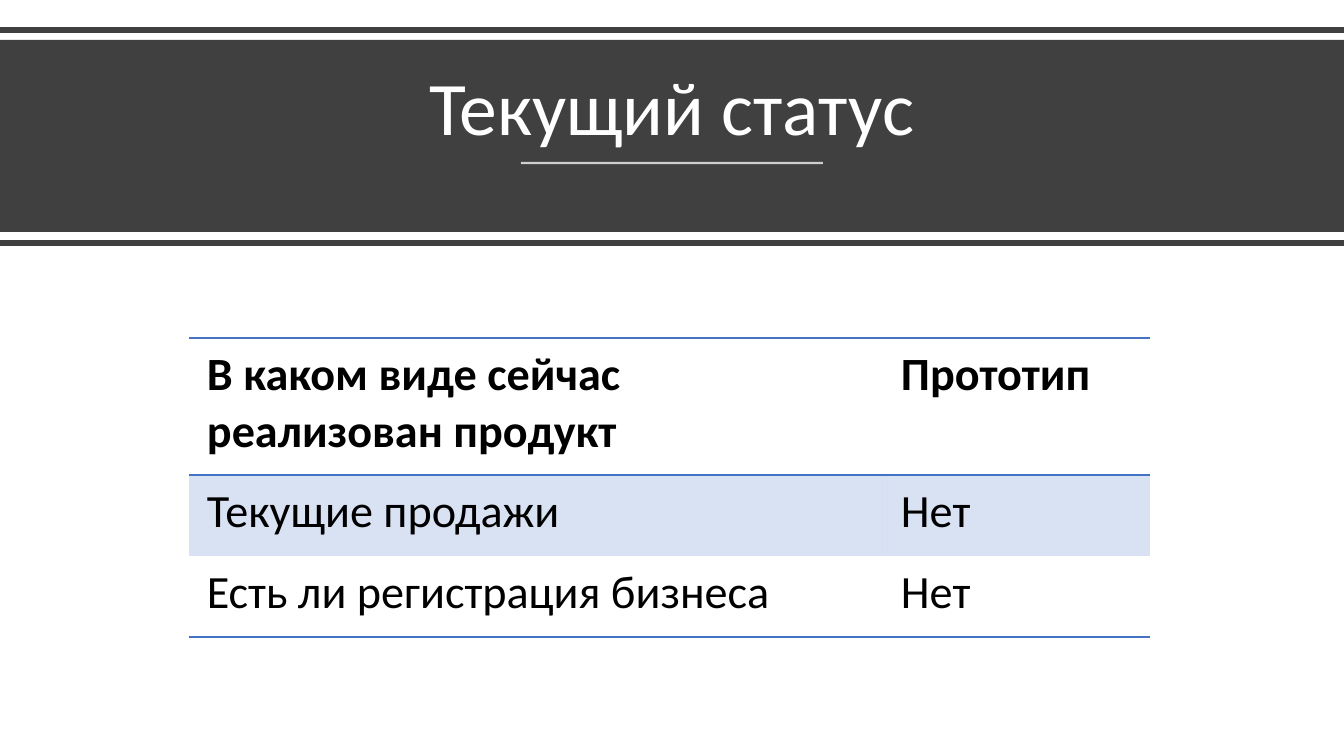
from lxml import etree
from pptx import Presentation
from pptx.dml.color import RGBColor
from pptx.enum.shapes import MSO_CONNECTOR, MSO_SHAPE
from pptx.enum.text import MSO_ANCHOR, PP_ALIGN
from pptx.oxml.ns import qn
from pptx.util import Pt

LINE = MSO_CONNECTOR.STRAIGHT
RECT = MSO_SHAPE.RECTANGLE
BOTTOM = MSO_ANCHOR.BOTTOM
CENTER = PP_ALIGN.CENTER
DARK, WHITE, BLUE, BLACK = "404040", "FFFFFF", "4472C4", "000000"


def px(n):
    return round(n * 914400 / 100.8)


def paint(fill, color, alpha=100):
    fill.solid()
    fill.fore_color.rgb = RGBColor.from_string(color)
    if alpha < 100:
        tint = fill._xPr.find(".//" + qn("a:srgbClr"))
        etree.SubElement(tint, qn("a:alpha"), val=str(alpha * 1000))


deck = Presentation()
deck.slide_width, deck.slide_height = px(1344), px(756)
slide = deck.slides.add_slide(deck.slide_layouts[6])
shapes = slide.shapes

band = shapes.add_shape(RECT, 0, px(40), px(1344), px(192))
band.shadow.inherit = False
paint(band.fill, DARK)
band.line.fill.background()

title = shapes.add_textbox(px(58), px(54), px(1228), px(103))
frame = title.text_frame
frame.word_wrap = True
frame.vertical_anchor = BOTTOM
par = frame.paragraphs[0]
par.text = "Текущий статус"
par.alignment = CENTER
par.line_spacing = 0.9
par.font.name = "Calibri"
par.font.size = Pt(54)
par.font.color.rgb = RGBColor.from_string(WHITE)

for left, right, y, color, width, alpha in [
    (0, 1344, 30, DARK, 4, 100),
    (521, 823, 163, WHITE, 1.5, 75),
    (0, 1344, 243, DARK, 4, 100),
]:
    rule = shapes.add_connector(LINE, px(left), px(y), px(right), px(y))
    rule.line.width = Pt(width)
    paint(rule.line.fill, color, alpha)
    etree.SubElement(rule._element.spPr, qn("a:effectLst"))

rows = [
    ("В каком виде сейчас реализован\u00a0продукт", "Прототип"),
    ("Текущие продажи", "Нет"),
    ("Есть ли регистрация бизнеса", "Нет"),
]
edges = [("lnT", "lnB"), (), ("lnB",)]
table = shapes.add_table(3, 2, px(189), px(338), px(961), px(299)).table
table.first_row = table.horz_banding = False
style = table._tbl.tblPr.find(qn("a:tableStyleId"))
style.text = "{2D5ABB26-0587-4C30-8999-92F81FD0307C}"
for col, width in zip(table.columns, (694, 267)):
    col.width = px(width)
for row, height in zip(table.rows, (137, 81, 81)):
    row.height = px(height)

for r, texts in enumerate(rows):
    for c, text in enumerate(texts):
        cell = table.cell(r, c)
        cell.margin_left = cell.margin_right = px(18)
        cell.margin_top = cell.margin_bottom = px(9)
        props = cell._tc.get_or_add_tcPr()
        for edge in edges[r]:
            side = etree.SubElement(props, qn("a:" + edge), w=str(Pt(1)))
            solid = etree.SubElement(side, qn("a:solidFill"))
            etree.SubElement(solid, qn("a:srgbClr"), val=BLUE)
        if r == 1:
            paint(cell.fill, BLUE, 20)
        else:
            cell.fill.background()
        par = cell.text_frame.paragraphs[0]
        par.text = text
        par.font.name = "Calibri"
        par.font.size = Pt(33)
        par.font.bold = r == 0
        par.font.color.rgb = RGBColor.from_string(BLACK)

deck.save("out.pptx")
